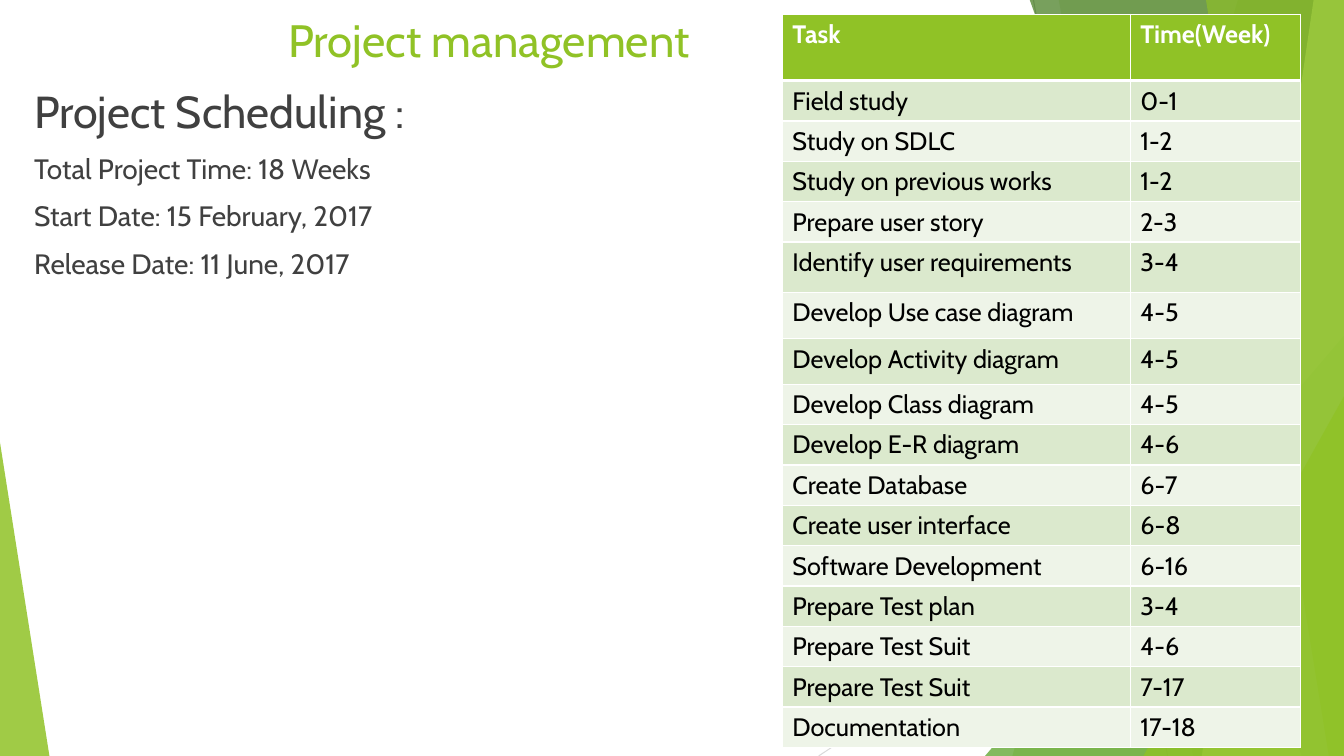
from lxml import etree
from pptx import Presentation
from pptx import util as u
from pptx.dml.color import RGBColor
from pptx.enum import shapes, text
from pptx.oxml.ns import qn

LIME = RGBColor(0x90, 0xC2, 0x26)
GREEN = RGBColor(0x54, 0xA0, 0x21)
DARK_GREEN = RGBColor(0x3F, 0x78, 0x19)
PALE_LIME = RGBColor(0xC0, 0xE4, 0x74)
BAND_DARK = RGBColor(0xDB, 0xE9, 0xCD)
BAND_LIGHT = RGBColor(0xEE, 0xF4, 0xE8)
GREY = RGBColor(0xBF, 0xBF, 0xBF)
LIGHT_GREY = RGBColor(0xD9, 0xD9, 0xD9)
BODY_GREY = RGBColor(0x40, 0x40, 0x40)
BLACK = RGBColor(0, 0, 0)
WHITE = RGBColor(0xFF, 0xFF, 0xFF)
FONT = "Cabin"
WIDTH, HEIGHT = 13.33, 7.5
TOP = -0.01

SCHEDULE = [
    ("Field study", "0-1"),
    ("Study on SDLC", "1-2"),
    ("Study on previous works", "1-2"),
    ("Prepare user story", "2-3"),
    ("Identify user requirements", "3-4"),
    ("Develop Use case diagram", "4-5"),
    ("Develop Activity diagram", "4-5"),
    ("Develop Class diagram", "4-5"),
    ("Develop E-R diagram", "4-6"),
    ("Create Database", "6-7"),
    ("Create user interface", "6-8"),
    ("Software Development", "6-16"),
    ("Prepare Test plan", "3-4"),
    ("Prepare Test Suit", "4-6"),
    ("Prepare Test Suit", "7-17"),
    ("Documentation", "17-18"),
]
ROW_HEIGHT = 0.37
TALL_ROWS = {0: 0.66, 5: 0.5, 6: 0.46, 7: 0.45}


def paint(shape, color, opacity):
    """Fill a shape with a see-through colour, without line or shadow."""
    shape.shadow.inherit = False
    shape.line.fill.background()
    shape.fill.solid()
    shape.fill.fore_color.rgb = color
    color_element = shape.fill._xPr.find(qn("a:solidFill"))[0]
    etree.SubElement(color_element, qn("a:alpha"), val=str(opacity * 1000))


def add_line(slide, start, end, color):
    line = slide.shapes.add_connector(
        shapes.MSO_CONNECTOR.STRAIGHT, *map(u.Inches, start + end))
    line.line.color.rgb = color
    line.line.width = u.Pt(0.75)
    etree.SubElement(line._element.spPr, qn("a:effectLst"))


def add_panel(slide, top_left, bottom_left, color, opacity):
    """Add a slanted panel that reaches the right edge of the slide."""
    corners = [(WIDTH, TOP), (WIDTH, HEIGHT), (bottom_left, HEIGHT)]
    builder = slide.shapes.build_freeform(
        u.Inches(top_left), u.Inches(TOP))
    builder.add_line_segments(
        [(u.Inches(x), u.Inches(y)) for x, y in corners], close=True)
    paint(builder.convert_to_shape(), color, opacity)


def add_triangle(slide, box, apex, color, opacity):
    triangle = slide.shapes.add_shape(
        shapes.MSO_SHAPE.ISOSCELES_TRIANGLE, *map(u.Inches, box))
    triangle.adjustments[0] = apex
    paint(triangle, color, opacity)


def add_backdrop(slide):
    add_line(slide, (10.25, 0), (11.58, HEIGHT), GREY)
    add_line(slide, (WIDTH, 4.03), (8.12, HEIGHT), LIGHT_GREY)
    add_panel(slide, 12.28, 10.04, LIME, 30)
    add_panel(slide, 10.5, 11.83, LIME, 20)
    add_triangle(slide, (9.77, 3.33, 3.56, 4.17), 1, GREEN, 72)
    add_panel(slide, 10.21, 12.91, DARK_GREEN, 70)
    add_panel(slide, 13.03, 11.92, PALE_LIME, 70)
    add_panel(slide, 11.96, 13.18, LIME, 65)
    add_triangle(slide, (11.34, 3.93, 1.99, 3.57), 1, LIME, 80)
    add_triangle(slide, (0, 4.39, 0.49, 3.11), 0, LIME, 85)


def add_run(paragraph, words, size, color, bold=False):
    run = paragraph.add_run()
    run.text = words
    run.font.name = FONT
    run.font.size = u.Pt(size)
    run.font.color.rgb = color
    run.font.bold = bold


def add_text_frame(slide, box):
    frame = slide.shapes.add_textbox(*map(u.Inches, box)).text_frame
    frame.word_wrap = True
    frame.vertical_anchor = text.MSO_ANCHOR.TOP
    return frame


def add_title(slide, box):
    paragraph = add_text_frame(slide, box).paragraphs[0]
    paragraph.alignment = text.PP_ALIGN.CENTER
    add_run(paragraph, "Project management ", 32.4, LIME)


def add_summary(slide, box):
    frame = add_text_frame(slide, box)
    lines = [("Project Scheduling :", 32),
             ("Total Project Time: 18 Weeks", 20),
             ("Start Date: 15 February, 2017", 20),
             ("Release Date: 11 June, 2017", 20)]
    for index, (words, size) in enumerate(lines):
        paragraph = frame.add_paragraph() if index else frame.paragraphs[0]
        paragraph.space_before = u.Pt(10)
        add_run(paragraph, words, size, BODY_GREY)


def set_borders(cell, top, bottom):
    """Draw white borders, with the top and bottom widths in points."""
    properties = cell._tc.get_or_add_tcPr()
    widths = {"a:lnL": 1, "a:lnR": 1, "a:lnT": top, "a:lnB": bottom}
    for position, (tag, width) in enumerate(widths.items()):
        border = etree.Element(qn(tag), w=str(u.Pt(width)))
        fill = etree.SubElement(border, qn("a:solidFill"))
        etree.SubElement(fill, qn("a:srgbClr"), val=str(WHITE))
        properties.insert(position, border)


def add_schedule(slide, box):
    rows = [("Task", "Time(Week)")] + SCHEDULE
    table = slide.shapes.add_table(
        len(rows), 2, *map(u.Inches, box)).table
    task_width = 3.45
    table.columns[0].width = u.Inches(task_width)
    table.columns[1].width = u.Inches(box[2] - task_width)
    for index, values in enumerate(rows):
        header = index == 0
        band = BAND_DARK if index % 2 else BAND_LIGHT
        table.rows[index].height = u.Inches(TALL_ROWS.get(index, ROW_HEIGHT))
        for cell, words in zip(table.rows[index].cells, values):
            cell.fill.solid()
            cell.fill.fore_color.rgb = LIME if header else band
            set_borders(cell, 3 if index == 1 else 1, 3 if header else 1)
            add_run(cell.text_frame.paragraphs[0], words, 18,
                    WHITE if header else BLACK, header)


def main():
    presentation = Presentation()
    presentation.slide_width = u.Inches(WIDTH)
    presentation.slide_height = u.Inches(HEIGHT)
    slide = presentation.slides.add_slide(presentation.slide_layouts[6])
    add_backdrop(slide)
    add_title(slide, (-0.85, 0.07, 11.5, 0.38))
    add_summary(slide, (0.24, 0.78, 12.71, 6.72))
    add_schedule(slide, (7.76, 0.14, 5.14, 7.27))
    presentation.save("out.pptx")


if __name__ == "__main__":
    main()
